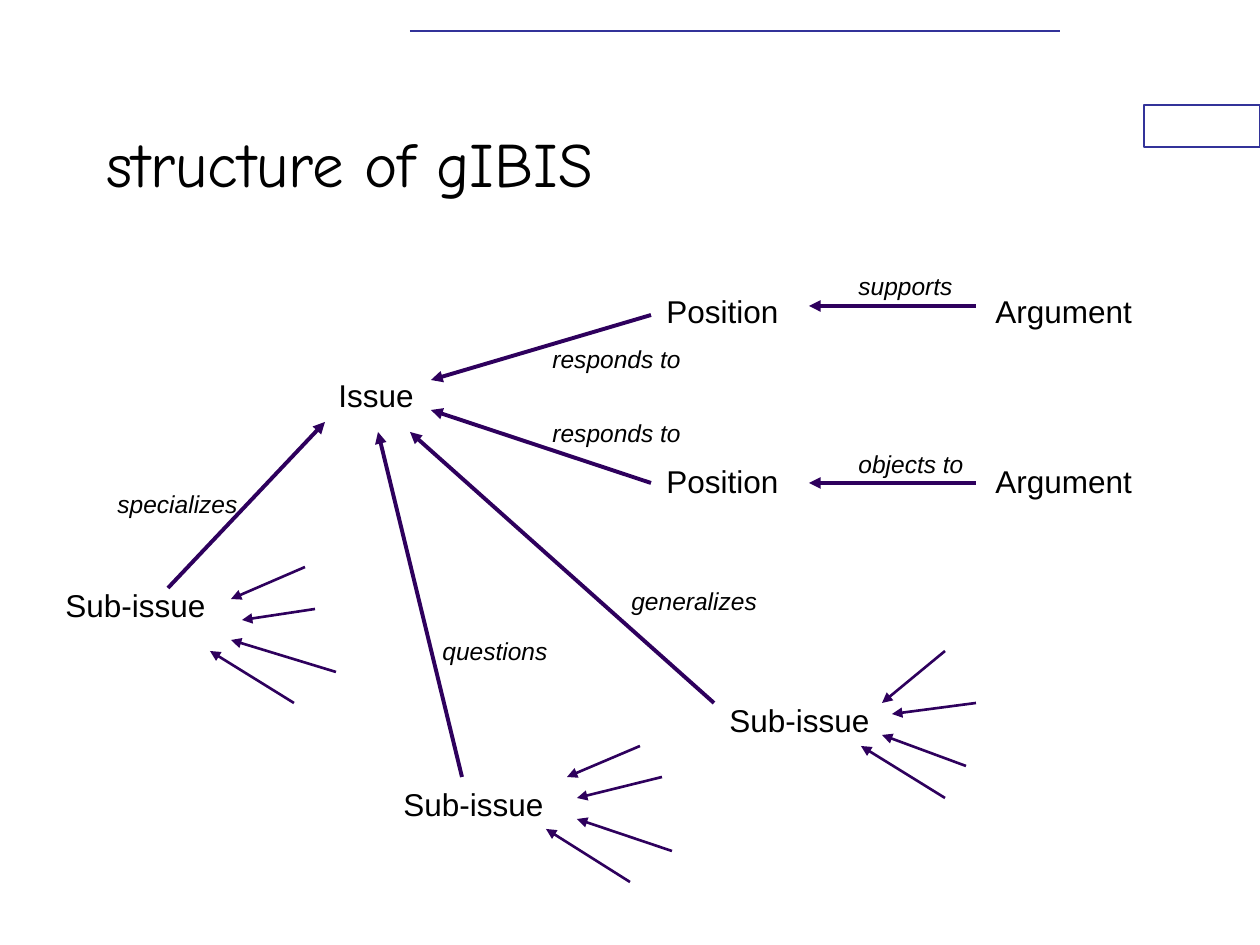
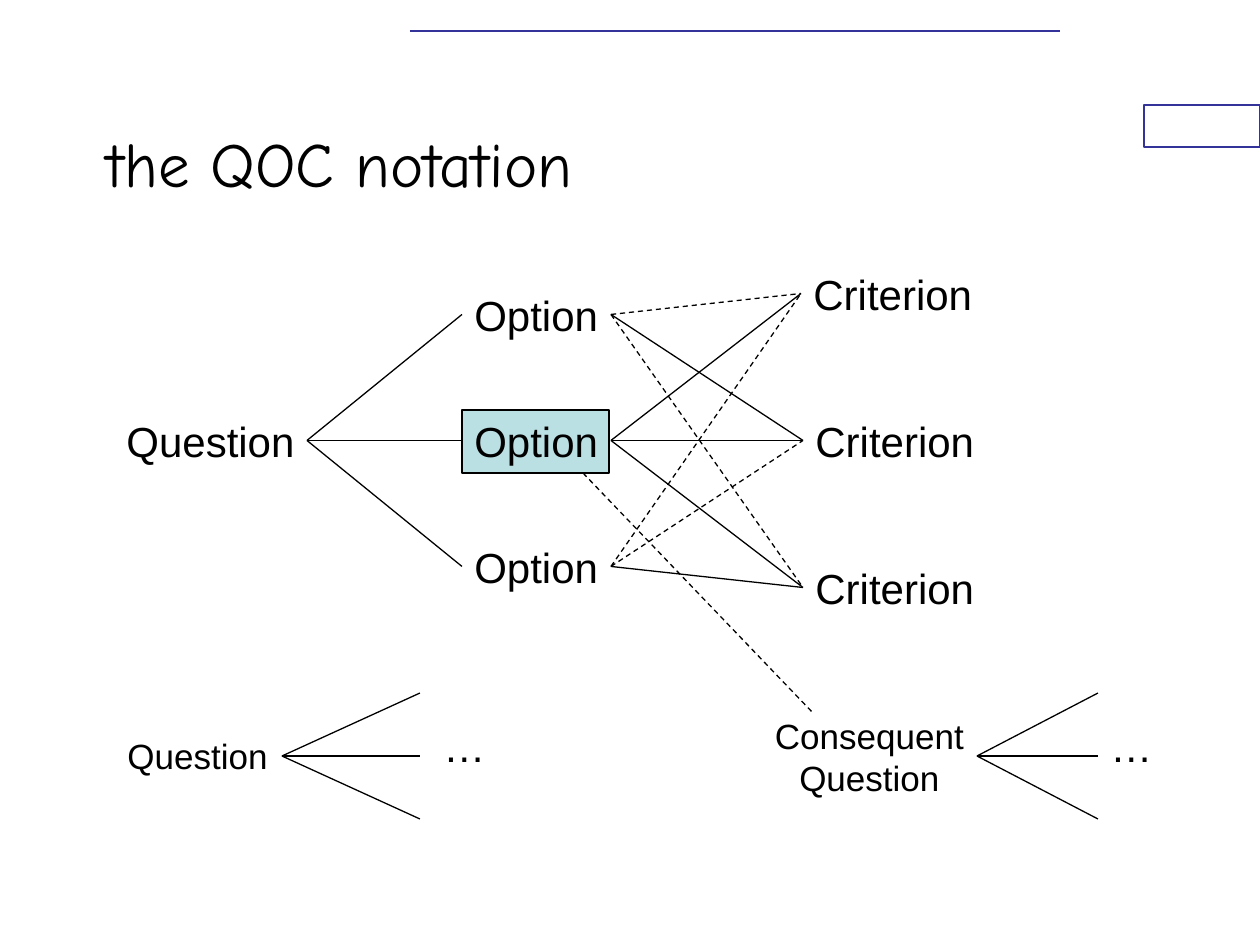
from lxml import etree
from pptx import Presentation
from pptx.dml.color import RGBColor
from pptx.enum.dml import MSO_LINE
from pptx.enum.shapes import MSO_CONNECTOR, MSO_SHAPE
from pptx.enum.text import MSO_ANCHOR, MSO_AUTO_SIZE, PP_ALIGN
from pptx.oxml.ns import qn
from pptx.util import Emu, Pt

STRAIGHT = MSO_CONNECTOR.STRAIGHT
RECT = MSO_SHAPE.RECTANGLE
DASH = MSO_LINE.DASH
MIDDLE = MSO_ANCHOR.MIDDLE
FIT, FIXED = MSO_AUTO_SIZE.SHAPE_TO_FIT_TEXT, MSO_AUTO_SIZE.NONE
LEFT, CENTER = PP_ALIGN.LEFT, PP_ALIGN.CENTER
ON_LEFT, ON_RIGHT = 1, 3

BLACK, WHITE = "000000", "FFFFFF"
NAVY, PLUM, AQUA = "333399", "2E005D", "BBE0E3"
BODY, HEAD = "Arial", "Comic Neue"


def px(*sizes):
    """Turn px, at 126 to the inch, into EMU."""
    return [Emu(round(size * 914400 / 126)) for size in sizes]


def tint(code):
    return RGBColor.from_string(code)


class Deck:
    """Holds the shared style and the current slide."""

    def __init__(self):
        self.prs = Presentation()
        self.prs.slide_width, self.prs.slide_height = px(1260, 945)
        self.shapes = None

    def page(self, title):
        slide = self.prs.slides.add_slide(self.prs.slide_layouts[6])
        self.shapes = slide.shapes
        self.block(1144, 105, 116, 42, WHITE, NAVY)
        self.line((410, 31), (1060, 31), NAVY, 1)
        box = self.text(title, 94, 83, 945, 158, 36, font=HEAD)
        box.text_frame.word_wrap = True
        box.text_frame.auto_size = FIXED
        box.text_frame.vertical_anchor = MIDDLE

    def block(self, x, y, wide, high, fill, edge):
        shape = self.shapes.add_shape(RECT, *px(x, y, wide, high))
        shape.shadow.inherit = False
        shape.fill.solid()
        shape.fill.fore_color.rgb = tint(fill)
        shape.line.color.rgb = tint(edge)
        shape.line.width = Pt(0.75)

    def text(self, words, x, y, wide, high, size, font=BODY, slant=False, align=LEFT):
        box = self.shapes.add_textbox(*px(x, y, wide, high))
        frame = box.text_frame
        frame.word_wrap = False
        frame.auto_size = FIT
        para = frame.paragraphs[0]
        para.alignment = align
        for row, part in enumerate(words.split("\n")):
            if row:
                para.add_line_break()
            run = para.add_run()
            run.text = part
            run.font.size = Pt(size)
            run.font.name = font
            run.font.italic = slant
            run.font.color.rgb = tint(BLACK)
        return box

    def line(self, start, end, color=BLACK, width=0.75, dash=False, arrow=False):
        line = self.shapes.add_connector(STRAIGHT, *px(*start, *end))
        line.line.color.rgb = tint(color)
        line.line.width = Pt(width)
        if dash:
            line.line.dash_style = DASH
        props = line._element.spPr
        if arrow:
            etree.SubElement(props.find(qn("a:ln")), qn("a:tailEnd"), type="triangle")
        etree.SubElement(props, qn("a:effectLst"))
        return line

    def link(self, first, last, dash=False):
        """Join the right side of one box to the left side of the next."""
        line = self.line((0, 0), (0, 0), dash=dash)
        line.begin_connect(first, ON_RIGHT)
        line.end_connect(last, ON_LEFT)

    def fan(self, box, x, rows):
        """Spread lines from the right side of a box to points at x."""
        for y in rows:
            self.line((0, 0), (x, y)).begin_connect(box, ON_RIGHT)


def gibis(deck):
    deck.page("structure of gIBIS")
    nodes = [
        ("Sub-issue", 53, 580, 166), ("Issue", 326, 370, 102),
        ("Sub-issue", 391, 779, 166), ("Sub-issue", 717, 695, 166),
    ]
    for y in (286, 456):
        nodes += [("Position", 654, y, 138), ("Argument", 983, y, 164)]
    for words, x, y, wide in nodes:
        deck.text(words, x, y, wide, 50, 18)

    labels = [
        ("responds to", 540, 338, 156), ("responds to", 540, 412, 156),
        ("supports", 846, 265, 122), ("objects to", 846, 443, 132),
        ("questions", 430, 630, 132), ("generalizes", 619, 580, 154),
        ("specializes", 105, 483, 148),
    ]
    for words, x, y, wide in labels:
        deck.text(words, x, y, wide, 43, 14, slant=True)

    bold = [
        ((651, 315), (431, 380)), ((651, 483), (431, 410)),
        ((976, 306), (809, 306)), ((976, 483), (809, 483)),
        ((168, 588), (325, 422)), ((462, 777), (378, 432)),
        ((714, 703), (410, 432)),
    ]
    thin = [
        ((305, 567), (231, 599)), ((315, 609), (242, 620)),
        ((294, 703), (210, 651)), ((336, 672), (231, 640)),
        ((640, 746), (567, 777)), ((662, 777), (577, 798)),
        ((630, 882), (546, 829)), ((672, 851), (577, 819)),
        ((945, 651), (882, 703)), ((976, 703), (892, 714)),
        ((945, 798), (861, 746)), ((966, 766), (882, 735)),
    ]
    for width, arrows in ((2.25, bold), (1.5, thin)):
        for start, end in arrows:
            deck.line(start, end, PLUM, width, arrow=True)


def qoc(deck):
    deck.page("the QOC notation")
    deck.block(462, 410, 147, 63, AQUA, BLACK)
    root = deck.text("Question", 114, 409, 193, 63, 24)
    options = [deck.text("Option", 462, y, 149, 63, 24) for y in (283, 409, 535)]
    tests = [
        deck.text("Criterion", x, y, 184, 63, 24)
        for x, y in ((801, 262), (803, 409), (803, 556))
    ]
    dashed = {(0, 0), (0, 2), (2, 0), (2, 1)}
    for row, option in enumerate(options):
        deck.link(root, option)
        for col, test in enumerate(tests):
            deck.link(option, test, dash=(row, col) in dashed)

    rows = (693, 756, 819)
    lower = deck.text("Question", 115, 728, 167, 56, 20)
    deck.fan(lower, 420, rows)
    later = deck.text("Consequent\nQuestion", 762, 708, 215, 96, 20, align=CENTER)
    deck.fan(later, 1098, rows)
    for x in (431, 1098):
        deck.text("…", x, 714, 67, 63, 24)
    deck.line((583, 473), (814, 714), dash=True)


def main():
    deck = Deck()
    gibis(deck)
    qoc(deck)
    deck.prs.save("out.pptx")


if __name__ == "__main__":
    main()
